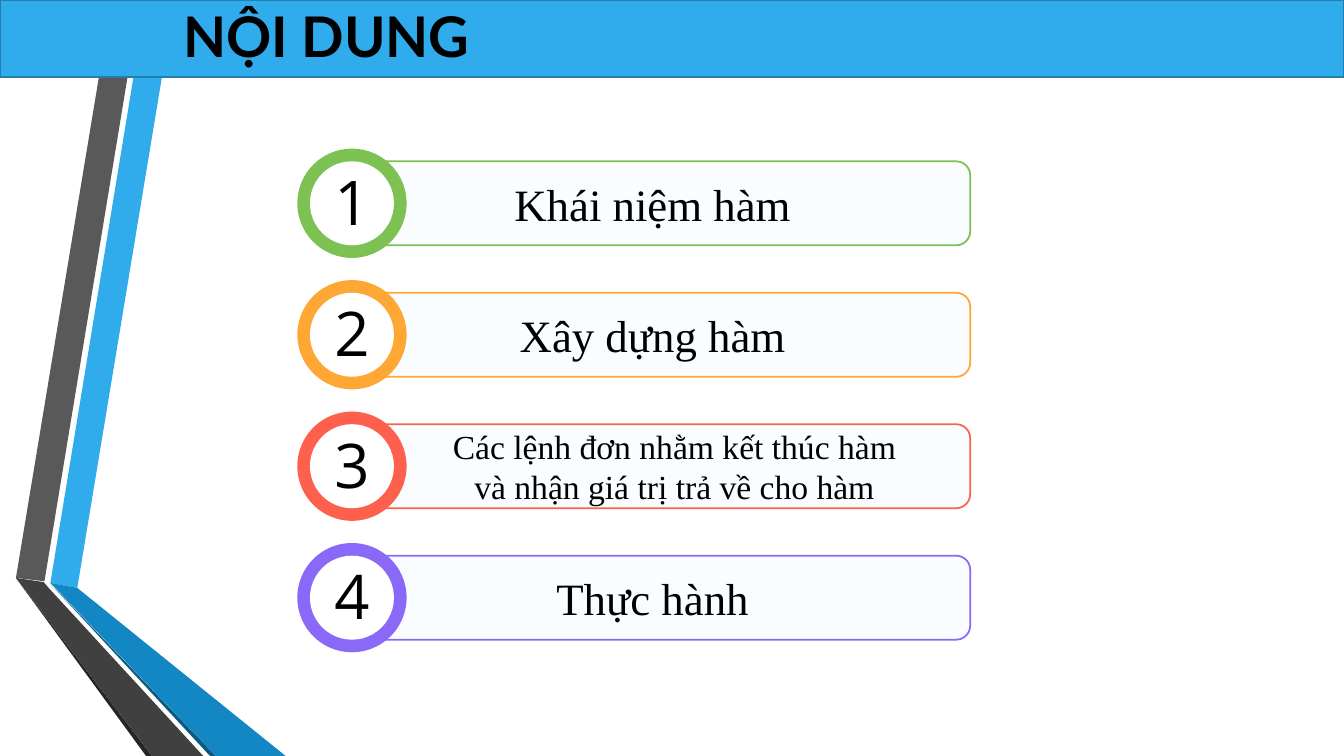
from pptx import Presentation
from pptx.dml.color import RGBColor
from pptx.enum.shapes import MSO_SHAPE as SHAPE
from pptx.enum.text import MSO_ANCHOR as ANCHOR, PP_ALIGN as ALIGN
from pptx.util import Inches, Pt

prs = Presentation()
prs.slide_width, prs.slide_height = Inches(13.33), Inches(7.5)
s = prs.slides.add_slide(prs.slide_layouts[5])
COL, ROW = prs.slide_width / 16, prs.slide_height / 9


def paint(sp, fill, line=None):
    sp.shadow.inherit = False
    sp.fill.solid()
    sp.fill.fore_color.rgb = RGBColor.from_string(fill)
    if line:
        sp.line.color.rgb = RGBColor.from_string(line)
        sp.line.width = Pt(1.25)
    else:
        sp.line.fill.background()


def write(sp, text, font, size, align=ALIGN.CENTER, bold=False):
    tf = sp.text_frame
    tf.word_wrap = True
    tf.vertical_anchor = ANCHOR.MIDDLE
    tf.margin_left = tf.margin_right = tf.margin_top = tf.margin_bottom = 0
    tf.text = text
    for p in tf.paragraphs:
        p.alignment = align
        p.font.name, p.font.size, p.font.bold = font, Pt(size), bold
        p.font.color.rgb = RGBColor.from_string("000000")
    return tf


ribbons = [
    ("30ACEC", [(0.6, 6.94), (0.92, 7), (2.08, 0), (1.74, 0)]),
    ("595959", [(1.67, 0), (1.33, 0), (0.19, 6.88), (0.53, 6.92)]),
    ("262626", [(0.19, 6.88), (1.74, 9), (1.81, 9)]),
    ("0C5A82", [(0.6, 6.95), (2.5, 9), (2.57, 9)]),
    ("1287C3", [(0.6, 6.94), (2.57, 9), (3.4, 9), (0.92, 7)]),
    ("404040", [(2.42, 9), (0.58, 7), (0.52, 6.93), (0.19, 6.88), (1.81, 9)]),
]
for color, cells in ribbons:
    points = [(x * COL, y * ROW) for x, y in cells]
    outline = s.shapes.build_freeform(*points[0])
    outline.add_line_segments(points[1:])
    paint(outline.convert_to_shape(), color)

header = s.shapes.add_shape(SHAPE.RECTANGLE, 0, 0, prs.slide_width, int(0.92 * ROW))
paint(header, "30ACEC", "247FAF")

title = s.shapes.title
title.left, title.top = int(2.18 * COL), int(-0.04 * ROW)
title.width, title.height = int(9.17 * COL), int(0.92 * ROW)
write(title, "NỘI DUNG", "Lato", 40, ALIGN.LEFT, True)
header._element.addnext(title._element)

items = [
    ("Khái niệm hàm", 32, "7DC152"),
    ("Xây dựng hàm", 32, "FFA735"),
    ("Các lệnh đơn nhằm kết thúc hàm\nvà nhận giá trị trả về cho hàm", 24, "FE604E"),
    ("Thực hành", 32, "8A69F9"),
]
for i, (text, size, color) in enumerate(items):
    middle = (2.42 + 1.565 * i) * ROW
    bar = s.shapes.add_shape(SHAPE.ROUNDED_RECTANGLE, int(4.39 * COL),
                             int(middle - ROW / 2), int(7.16 * COL), int(ROW))
    paint(bar, "F9FDFF", color)
    tf = write(bar, text, "Times New Roman", size)
    if "\n" in text:
        tf.margin_left = int(0.12 * COL)
    else:
        tf.margin_right = int(0.4 * COL)

    for diameter, fill, line in [(1.28, color, color), (1, "FFFFFF", None)]:
        disc = s.shapes.add_shape(SHAPE.OVAL, int((4.19 - diameter / 2) * COL),
                                  int(middle - diameter * ROW / 2),
                                  int(diameter * COL), int(diameter * ROW))
        paint(disc, fill, line)
    tf = write(disc, str(i + 1), "Open Sans", 44)
    tf.margin_bottom = int(0.06 * ROW)

prs.save("out.pptx")
